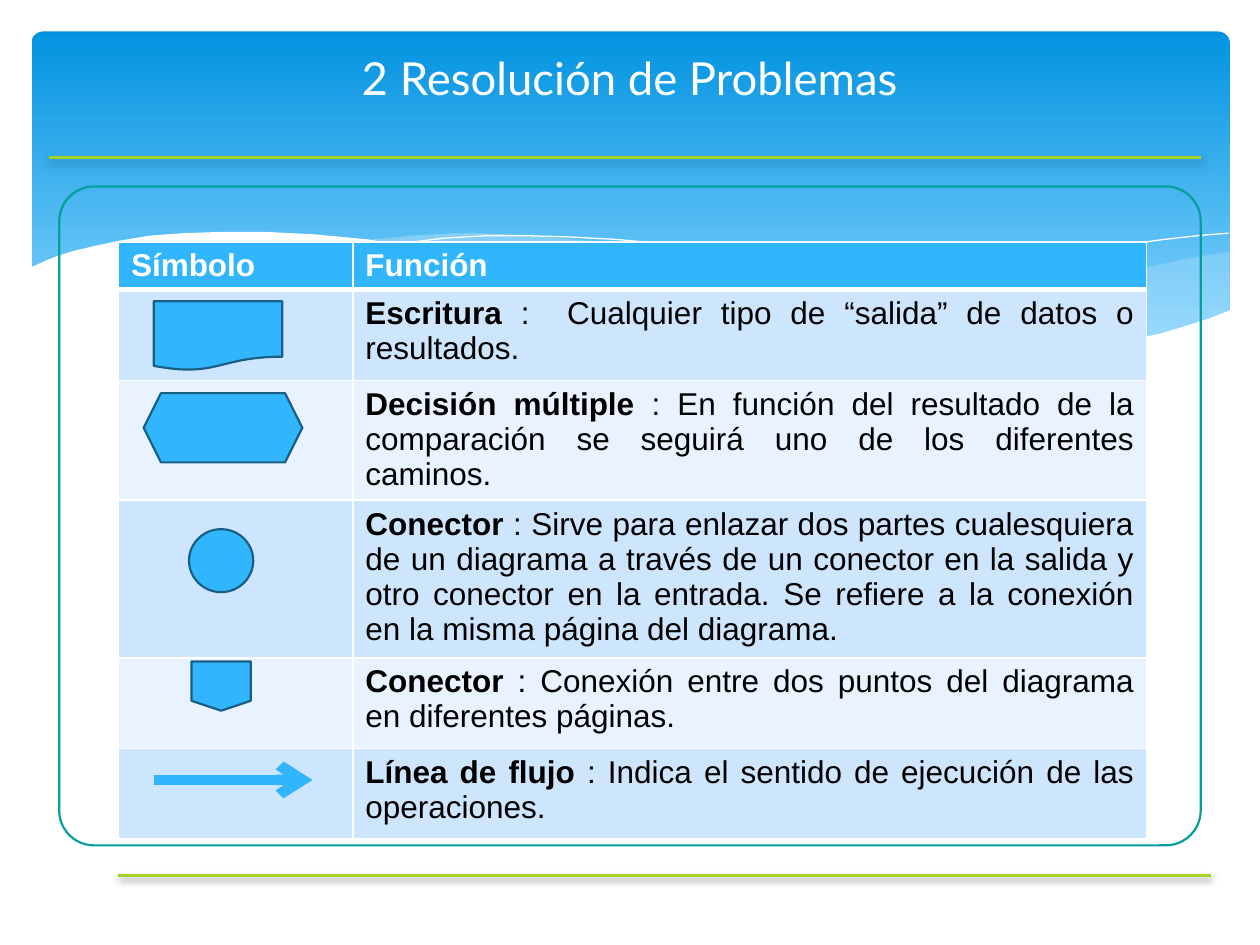
from lxml.etree import SubElement as Sub
from pptx import Presentation
from pptx.dml.color import RGBColor
from pptx.enum.shapes import MSO_CONNECTOR as Link, MSO_SHAPE as Kind
from pptx.enum.text import MSO_ANCHOR as Anchor, PP_ALIGN as Align
from pptx.oxml.ns import qn
from pptx.util import Cm, Pt


def inch(val):
    return Cm(val * 2.54)


def color(code):
    return RGBColor.from_string(code)


def write(frame, text, size=18, font="Arial", ink="000000", bold=False,
          align=Align.LEFT):
    """Add a run to the first paragraph of a text frame."""
    para = frame.paragraphs[0]
    para.alignment = align
    run = para.add_run()
    run.text = text
    run.font.size, run.font.name, run.font.bold = Pt(size), font, bold
    run.font.color.rgb = color(ink)


class Page:
    blue, edge, lime, teal, white = "31B6FD", "195F84", "A5D028", "049E9B", "FFFFFF"
    bands = "CEE5FE", "E8F3FF"

    def __init__(self, deck):
        self.slide = deck.slides.add_slide(deck.slide_layouts[6])
        self.shapes = self.slide.shapes

    def paint(self, item, fill=None, line=None, width=1.25, alpha=None):
        item.shadow.inherit = False
        if fill:
            item.fill.solid()
            item.fill.fore_color.rgb = color(fill)
            if alpha:
                tint = item._element.spPr.find(qn("a:solidFill"))[0]
                Sub(tint, qn("a:alpha"), val=str(alpha * 1000))
        else:
            item.fill.background()
        if line:
            item.line.color.rgb = color(line)
            item.line.width = Pt(width)
        else:
            item.line.fill.background()

    def shape(self, kind, box, round_by=None, **look):
        item = self.shapes.add_shape(kind, *map(inch, box))
        if round_by:
            item.adjustments[0] = round_by
        self.paint(item, **look)
        return item

    def fade(self, item, top, low, stop):
        item.fill.gradient()
        item.fill.gradient_angle = 270
        for mark, tone, place in zip(item.fill.gradient_stops, (top, low), (0, stop)):
            mark.color.rgb = color(tone)
            mark.position = place

    def wave(self, points, close=True, **look):
        spots = [(inch(x), inch(y)) for x, y in points]
        form = self.shapes.build_freeform(*spots[0], scale=1.0)
        form.add_line_segments(spots[1:], close=close)
        self.paint(form.convert_to_shape(), **look)

    def line(self, start, end, ink, width, head=False, shade=False):
        item = self.shapes.add_connector(Link.STRAIGHT, *map(inch, start + end))
        item.line.color.rgb = color(ink)
        item.line.width = Pt(width)
        if head:
            Sub(item.line._get_or_add_ln(), qn("a:tailEnd"), type="arrow")
        glow = Sub(item._element.spPr, qn("a:effectLst"))
        if shade:
            drop = Sub(glow, qn("a:outerShdw"), blurRad=str(Pt(4)),
                       dist=str(Pt(2)), dir="5400000", rotWithShape="0")
            tint = Sub(drop, qn("a:srgbClr"), val="000000")
            Sub(tint, qn("a:alpha"), val="38000")

    def title(self, text, box):
        frame = self.shapes.add_textbox(*map(inch, box)).text_frame
        frame.word_wrap = True
        frame.vertical_anchor = Anchor.MIDDLE
        write(frame, text, size=26, font="Lato", ink=self.white, align=Align.CENTER)

    def cell(self, cell, fill, base=1):
        props = cell._tc.get_or_add_tcPr()
        for side in "LRTB":
            rule = Sub(props, qn("a:ln" + side),
                       w=str(Pt(base if side == "B" else 1)))
            Sub(Sub(rule, qn("a:solidFill")), qn("a:srgbClr"), val=self.white)
        cell.fill.solid()
        cell.fill.fore_color.rgb = color(fill)
        cell.margin_bottom = 0  # the row height alone sets the gap below

    def table(self, box, heads, rows, cols, tall):
        grid = self.shapes.add_table(len(rows) + 1, len(cols), *map(inch, box)).table
        for col, wide in zip(grid.columns, cols):
            col.width = inch(wide)
        for row, high in zip(grid.rows, tall):
            row.height = inch(high)
        for num, head in enumerate(heads):
            self.cell(grid.cell(0, num), self.blue, base=3)
            write(grid.cell(0, num).text_frame, head, ink=self.white, bold=True)
        for num, (name, note) in enumerate(rows):
            for col in range(len(cols)):
                self.cell(grid.cell(num + 1, col), self.bands[num % 2])
            frame = grid.cell(num + 1, 1).text_frame
            write(frame, name, bold=True, align=Align.JUSTIFY)
            write(frame, note, align=Align.JUSTIFY)


# Wave outlines, in inches
RIGHT = [(9.76, 2), (9.48, 2.04), (9.21, 2.1), (8.91, 2.16), (8.61, 2.23),
         (8.05, 2.37), (7.53, 2.48), (7.06, 2.57), (6.61, 2.65), (6.91, 2.69),
         (7.19, 2.72), (7.45, 2.75), (7.69, 2.77), (8.03, 2.78), (8.35, 2.77),
         (8.63, 2.75), (8.89, 2.72), (9.13, 2.67), (9.35, 2.62), (9.49, 2.57),
         (9.63, 2.52), (9.76, 2.47)]
MIDDLE = [(8.93, 2.73), (8.66, 2.69), (8.37, 2.65), (8.07, 2.6), (7.75, 2.54),
          (7.41, 2.47), (7.06, 2.4), (6.68, 2.31), (6.29, 2.22), (5.98, 2.14),
          (5.69, 2.08), (5.41, 2.03), (5.14, 1.98), (4.89, 1.94), (4.65, 1.91),
          (4.42, 1.89), (4.2, 1.87), (3.99, 1.86), (3.8, 1.85), (3.61, 1.85),
          (3.28, 1.87), (2.86, 1.91), (3.23, 1.96), (3.62, 2.03), (4.04, 2.11),
          (4.49, 2.22), (4.91, 2.32), (5.3, 2.4), (5.66, 2.48), (6.01, 2.55),
          (6.34, 2.61), (6.65, 2.66), (6.95, 2.7), (7.22, 2.74), (7.48, 2.76),
          (7.85, 2.78), (8.28, 2.78), (8.57, 2.77), (8.76, 2.75)]
LONG = [(3.09, 1.95), (3.28, 1.92), (3.53, 1.89), (3.87, 1.87), (4.16, 1.87),
        (4.5, 1.88), (4.89, 1.9), (5.33, 1.94), (5.82, 2), (6.08, 2.04),
        (6.36, 2.08), (6.65, 2.13), (6.95, 2.19), (7.27, 2.26), (7.6, 2.33),
        (7.95, 2.41), (8.31, 2.51), (8.69, 2.61), (9.07, 2.72)]
SHORT = [(6.13, 2.57), (6.53, 2.46), (6.95, 2.35), (7.48, 2.23), (8.06, 2.1),
         (8.66, 1.99), (8.95, 1.94), (9.24, 1.9), (9.51, 1.87), (9.75, 1.85)]
FRONT = [(9.77, 2.46), (9.59, 2.53), (9.4, 2.59), (9.2, 2.65), (8.99, 2.69),
         (8.75, 2.73), (8.5, 2.75), (8.23, 2.77), (7.93, 2.76), (7.61, 2.75),
         (7.26, 2.72), (6.88, 2.68), (6.48, 2.62), (6.03, 2.54), (5.55, 2.45),
         (5.03, 2.33), (4.47, 2.2), (4.18, 2.13), (3.91, 2.07), (3.65, 2.02),
         (3.4, 1.97), (3.16, 1.94), (2.92, 1.9), (2.71, 1.88), (2.5, 1.86),
         (2.3, 1.85), (2.11, 1.84), (1.77, 1.84), (1.46, 1.85), (1.19, 1.87),
         (0.95, 1.91), (0.76, 1.95), (0.59, 1.99), (0.46, 2.03), (0.36, 2.07),
         (0.23, 2.13), (0.23, 3.29), (9.77, 3.29)]

ROWS = [
    ("Escritura", " :  Cualquier tipo de “salida” de datos o resultados."),
    ("Decisión múltiple ", ": En función del resultado de la comparación se "
     "seguirá uno de los diferentes caminos."),
    ("Conector", " : Sirve para enlazar dos partes cualesquiera de un diagrama "
     "a través de un conector en la salida y otro conector en la entrada. "
     "Se refiere a la conexión en la misma página del diagrama."),
    ("Conector", " : Conexión entre dos puntos del diagrama en diferentes páginas."),
    ("Línea de flujo", " : Indica el sentido de ejecución de las operaciones."),
]
SIGNS = [
    (Kind.FLOWCHART_DOCUMENT, (1.22, 2.39, 1.02, 0.55)),
    (Kind.HEXAGON, (1.14, 3.12, 1.26, 0.55)),
    (Kind.FLOWCHART_CONNECTOR, (1.5, 4.2, 0.51, 0.5)),
    (Kind.FLOWCHART_OFFPAGE_CONNECTOR, (1.52, 5.25, 0.47, 0.39)),
]


def main():
    deck = Presentation()
    deck.slide_width, deck.slide_height = inch(10), inch(7.5)
    page = Page(deck)

    # Sky and waves
    sky = page.shape(Kind.ROUNDED_RECTANGLE, (0.25, 0.25, 9.51, 2.7), round_by=0.034)
    page.fade(sky, "0293E0", "83D3FE", 0.9)
    page.wave(RIGHT, fill="C6E7FC", alpha=29)
    page.wave(MIDDLE, fill="C6E7FC", alpha=40)
    for points in (LONG, SHORT):
        page.wave(points, close=False, line=page.white, width=0)
    page.wave(FRONT, fill=page.white)

    # Rules, frame and title
    page.line((9.53, 1.25), (0.39, 1.25), page.lime, 2, shade=True)
    page.line((9.61, 6.95), (0.94, 6.95), page.lime, 2, shade=True)
    page.shape(Kind.ROUNDED_RECTANGLE, (0.47, 1.48, 9.06, 5.23), round_by=0.053,
               line=page.teal)
    page.title("2 Resolución de Problemas", (0, 0, 10, 1.23))

    # Table of symbols
    tall = (0.38, 0.72, 0.94, 1.22, 0.72, 0.72)
    page.table((0.94, 1.92, 8.16, sum(tall)), ("Símbolo", "Función"), ROWS,
               cols=(1.86, 6.3), tall=tall)
    for kind, box in SIGNS:
        page.shape(kind, box, fill=page.blue, line=page.edge)
    page.line((1.22, 6.19), (2.48, 6.19), page.blue, 6, head=True)

    deck.save("out.pptx")


if __name__ == "__main__":
    main()
